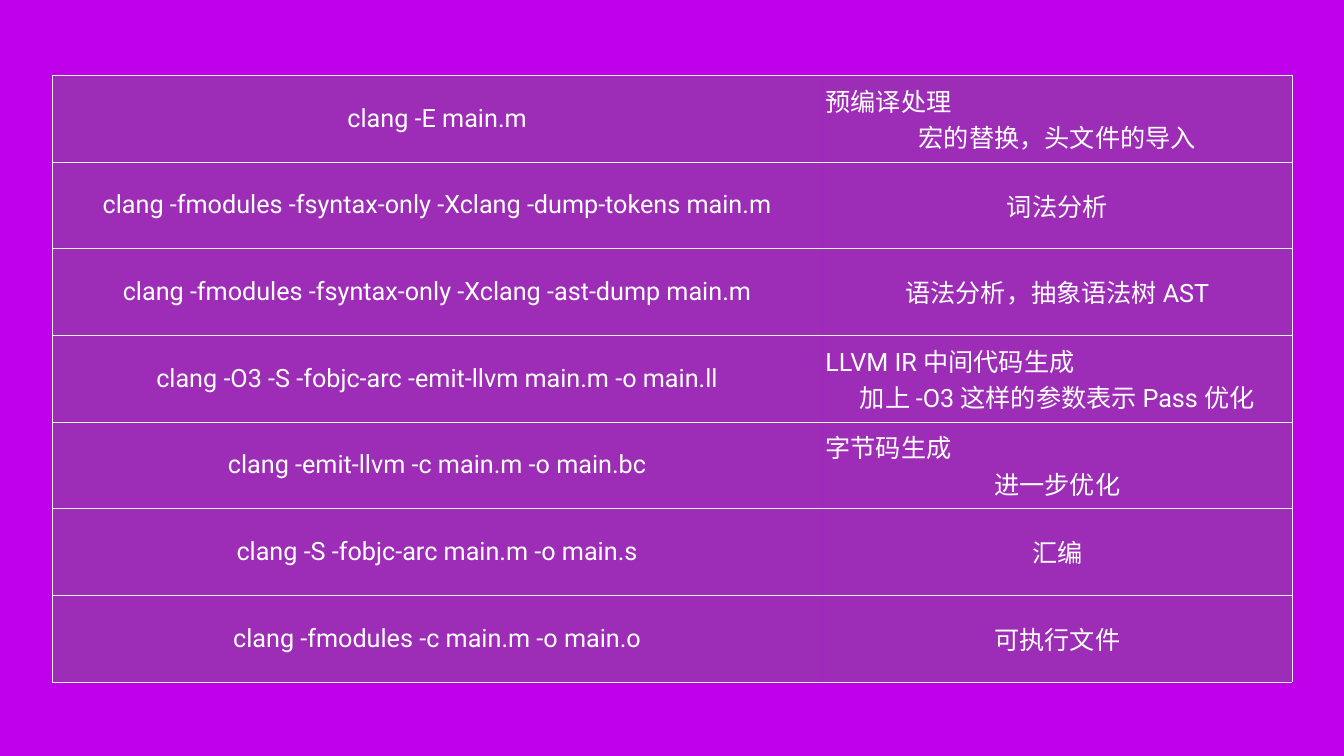
"""Build a slide with a table of clang commands and the compile stage each one runs."""
from lxml import etree
from pptx import Presentation
from pptx.dml.color import RGBColor
from pptx.enum import text
from pptx.oxml import ns
from pptx.util import Inches, Pt

PURPLE = RGBColor(0xC0, 0x00, 0xEB)
GREY = RGBColor(0x6D, 0x6D, 0x6D)
WHITE = RGBColor(0xFF, 0xFF, 0xFF)
BORDER = RGBColor(0xF0, 0xF0, 0xF0)
OUTER, INNER = 1, 0.25

STAGES = [
    ("clang -E main.m", "预编译处理\n宏的替换，头文件的导入"),
    ("clang -fmodules -fsyntax-only -Xclang -dump-tokens main.m", "词法分析"),
    ("clang -fmodules -fsyntax-only -Xclang -ast-dump main.m", "语法分析，抽象语法树 AST"),
    ("clang -O3 -S -fobjc-arc -emit-llvm main.m -o main.ll",
     "LLVM IR 中间代码生成\n加上 -O3 这样的参数表示 Pass 优化"),
    ("clang -emit-llvm -c main.m -o main.bc", "字节码生成\n进一步优化"),
    ("clang -S -fobjc-arc main.m -o main.s", "汇编"),
    ("clang -fmodules -c main.m -o main.o", "可执行文件"),
]
COLUMNS = [15.29, 9.32]
ROW_HEIGHT = 1.72
CELL = {
    "vertical_anchor": text.MSO_ANCHOR.MIDDLE,
    "margin_left": Inches(0.06),
    "margin_right": Inches(0.06),
    "margin_top": Inches(0.06),
    "margin_bottom": Inches(0.06),
}
FONT = {"name": "Roboto", "size": Pt(36), "bold": False}


def add_borders(cell, widths):
    tc_pr = cell._tc.get_or_add_tcPr()
    for i, (side, width) in enumerate(widths.items()):
        ln = etree.Element(ns.qn(f"a:ln{side}"), w=str(Pt(width)))
        tc_pr.insert(i, ln)
        if width:
            fill = etree.SubElement(ln, ns.qn("a:solidFill"))
            etree.SubElement(fill, ns.qn("a:srgbClr"), val=str(BORDER))
        else:
            etree.SubElement(ln, ns.qn("a:noFill"))


prs = Presentation()
prs.slide_width, prs.slide_height = Inches(26.67), Inches(15)
s = prs.slides.add_slide(prs.slide_layouts[6])
s.background.fill.solid()
s.background.fill.fore_color.rgb = PURPLE

table = s.shapes.add_table(
    len(STAGES), len(COLUMNS), Inches(1.03), Inches(1.49),
    Inches(sum(COLUMNS)), Inches(ROW_HEIGHT * len(STAGES))).table
table.first_row = table.horz_banding = False
for column, width in zip(table.columns, COLUMNS):
    column.width = Inches(width)

last = len(STAGES) - 1
for i, stage in enumerate(STAGES):
    table.rows[i].height = Inches(ROW_HEIGHT)
    for j, words in enumerate(stage):
        cell = table.cell(i, j)
        for name, value in CELL.items():
            setattr(cell, name, value)
        cell.fill.solid()
        cell.fill.fore_color.rgb = GREY
        color = cell._tc.tcPr.find(".//" + ns.qn("a:srgbClr"))
        etree.SubElement(color, ns.qn("a:alpha"), val="41000")
        add_borders(cell, {
            "L": OUTER if j == 0 else 0,
            "R": OUTER if j == 1 else 0,
            "T": OUTER if i == 0 else INNER,
            "B": OUTER if i == last else INNER,
        })
        tf = cell.text_frame
        tf.text = words
        for p in tf.paragraphs:
            p.alignment = text.PP_ALIGN.LEFT
            for r in p.runs:
                for name, value in FONT.items():
                    setattr(r.font, name, value)
                r.font.color.rgb = WHITE
        tf.paragraphs[-1].alignment = text.PP_ALIGN.CENTER

prs.save("out.pptx")
